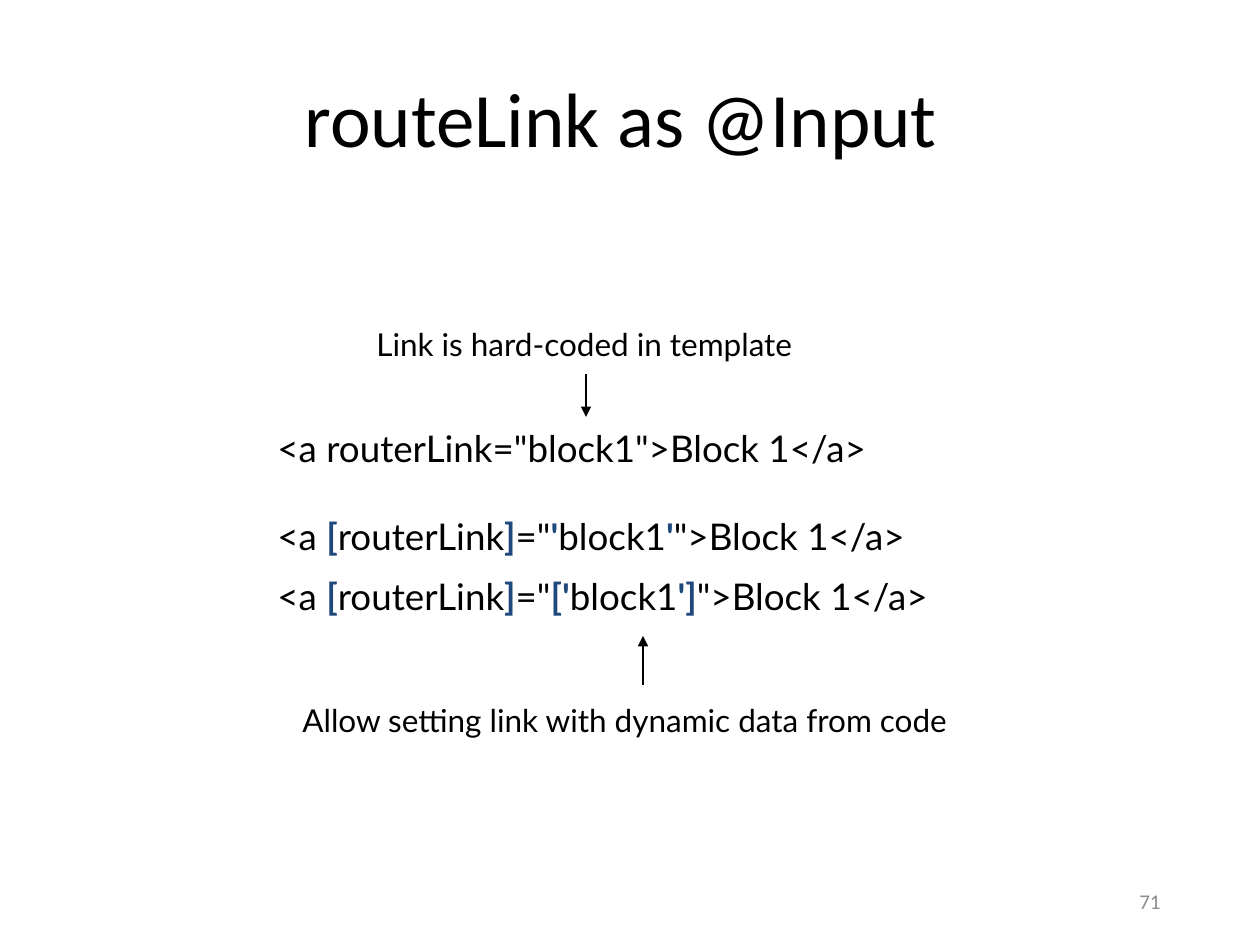
from pptx import Presentation
from pptx.dml.color import RGBColor
from pptx.enum.shapes import MSO_CONNECTOR
from pptx.enum.text import MSO_ANCHOR, PP_ALIGN
from pptx.oxml.ns import qn
from pptx.util import Pt
from lxml.etree import SubElement

COLORS = {"text": "000000", "accent": "1F497D", "muted": "8C8C8C"}
EMU_PER_PX = 914400 / 126


def px(n):
    return round(n * EMU_PER_PX)


class SlideBuilder:
    heading_font = "Calibri"
    body_font = "Lato"

    def __init__(self, prs):
        self.s = prs.slides.add_slide(prs.slide_layouts[6])

    def frame(self, x, y, w, h, wrap, anchor):
        tf = self.s.shapes.add_textbox(px(x), px(y), px(w), px(h)).text_frame
        tf.word_wrap = wrap
        tf.vertical_anchor = anchor
        return tf

    def run(self, p, text, size, font, color="text", bold=False):
        r = p.add_run()
        r.text = text
        r.font.size = Pt(size)
        r.font.name = font
        r.font.bold = bold
        r.font.color.rgb = RGBColor.from_string(COLORS[color])

    def heading(self, box, text, size, align, color="text"):
        p = self.frame(*box, True, MSO_ANCHOR.MIDDLE).paragraphs[0]
        p.alignment = align
        self.run(p, text, size, self.heading_font, color)

    def note(self, box, text):
        p = self.frame(*box, False, MSO_ANCHOR.TOP).paragraphs[0]
        self.run(p, text, 18, self.body_font)

    def code(self, box, lines):
        tf = self.frame(*box, False, MSO_ANCHOR.TOP)
        for i, (space_after, parts) in enumerate(lines):
            p = tf.add_paragraph() if i else tf.paragraphs[0]
            p.space_after = Pt(space_after)
            for j, part in enumerate(parts):
                marked = j % 2 == 1
                self.run(p, part, 21, self.body_font,
                         "accent" if marked else "text", marked)

    def arrow(self, x, y1, y2):
        c = self.s.shapes.add_connector(
            MSO_CONNECTOR.STRAIGHT, px(x), px(y1), px(x), px(y2))
        c.line.color.rgb = RGBColor.from_string(COLORS["text"])
        c.line.width = Pt(0.75)
        SubElement(c.line._get_or_add_ln(), qn("a:tailEnd"), type="triangle")
        SubElement(c._element.spPr, qn("a:effectLst"))


def bound_link(opening, closing):
    return ["<a ", "[", "routerLink", "]", '="', opening, "block1", closing,
            '">Block 1</a>']


def main():
    prs = Presentation()
    prs.slide_width, prs.slide_height = px(1260), px(945)
    b = SlideBuilder(prs)
    b.heading((63, 38, 1134, 157), "routeLink as @Input ", 44, PP_ALIGN.CENTER)
    b.code((265, 420, 731, 207), [
        (25, ['<a routerLink="block1">Block 1</a>']),
        (9, bound_link("'", "'")),
        (0, bound_link("['", "']")),
    ])
    b.arrow(586, 374, 417)
    b.arrow(643, 685, 636)
    b.note((364, 319, 451, 50), "Link is hard-coded in template")
    b.note((290, 695, 682, 50), "Allow setting link with dynamic data from code")
    b.heading((890, 876, 283, 50), "71", 12, PP_ALIGN.RIGHT, "muted")
    prs.save("out.pptx")


if __name__ == "__main__":
    main()
